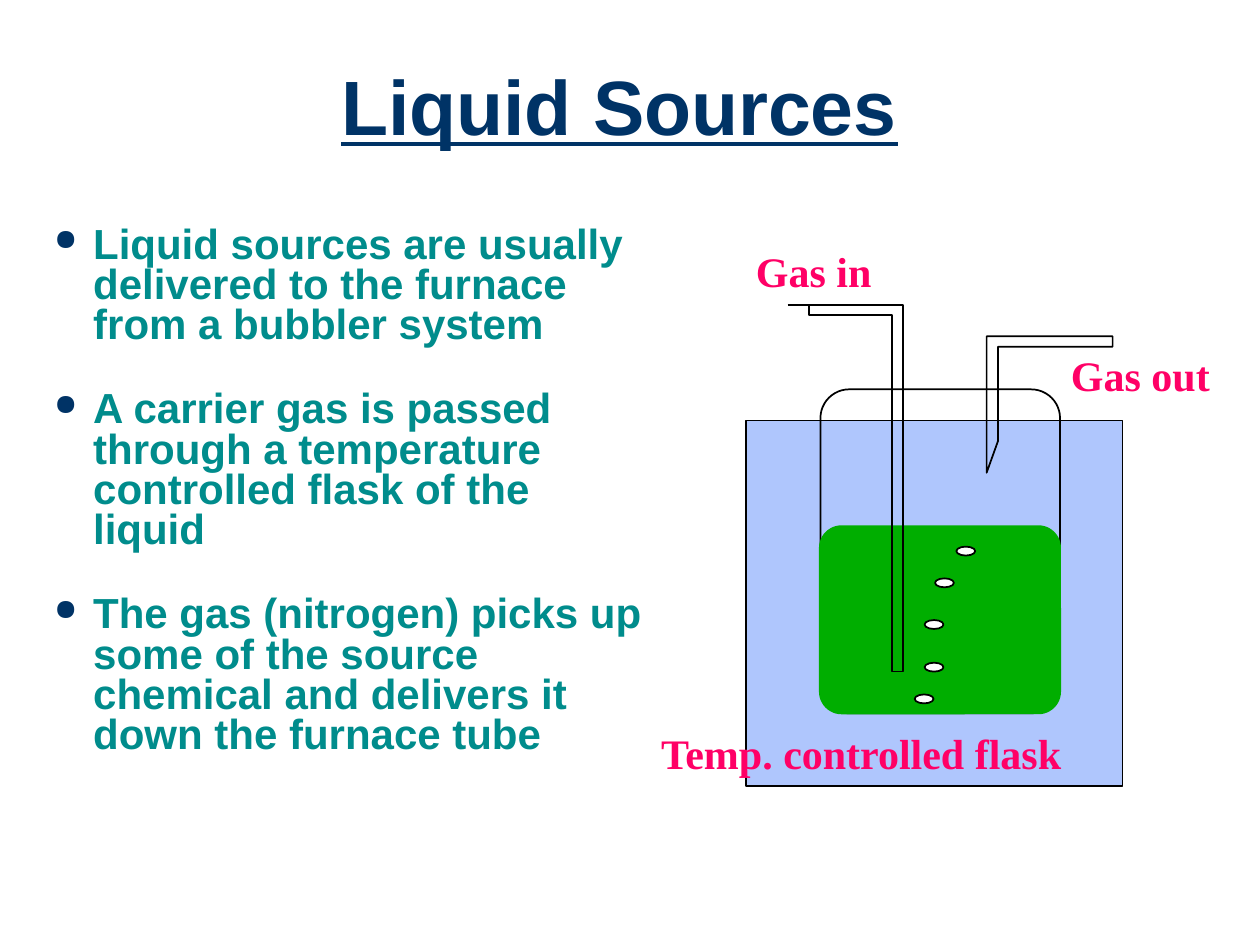
"""Build the Liquid Sources slide with its bubbler diagram."""

import dataclasses
import typing

import lxml.etree
import pptx
import pptx.dml.color
import pptx.enum.shapes
import pptx.enum.text
import pptx.oxml.ns
import pptx.util

Cm = pptx.util.Cm
Pt = pptx.util.Pt
Preset = pptx.enum.shapes.MSO_SHAPE
Point = tuple[float, float]


@dataclasses.dataclass(frozen=True)
class Theme:
    navy: str = "003366"
    teal: str = "008C8C"
    pink: str = "FF0066"
    bath: str = "618FFD"
    liquid: str = "00AE00"
    white: str = "FFFFFF"
    black: str = "000000"
    title_size: float = 44
    text_size: float = 24
    line_width: float = 1
    heading_font: str = "Arial"
    label_font: str = "Times New Roman"


class Box(typing.NamedTuple):
    left: float
    top: float
    width: float
    height: float

    def lengths(self) -> list[int]:
        return [Cm(value) for value in self]


@dataclasses.dataclass(frozen=True)
class Part:
    box: Box
    preset: Preset
    fill: str | None = None
    line: str | None = None
    corner: float | None = None
    opacity: int = 100


class Label(typing.NamedTuple):
    text: str
    box: Box


THEME = Theme()

TITLE_BOX = Box(0.64, 0.64, 23.7, 3.18)
BODY_BOX = Box(0.84, 4.45, 12.5, 11.43)
POINTS = [
    "Liquid sources are usually delivered to the furnace from a bubbler system",
    "A carrier gas is passed through a temperature controlled flask of the liquid",
    "The gas (nitrogen) picks up some of the source chemical and delivers it down the furnace tube",
]

VESSELS = [
    Part(Box(15.04, 8.48, 7.59, 7.37), Preset.RECTANGLE, THEME.bath, THEME.black, opacity=50),
    Part(Box(16.54, 7.85, 4.83, 6.53), Preset.ROUNDED_RECTANGLE, line=THEME.black, corner=0.12),
    Part(Box(16.51, 10.59, 4.88, 3.81), Preset.ROUNDED_RECTANGLE, THEME.liquid, corner=0.12),
]
INLET = [(15.88, 6.15), (18.21, 6.15), (18.21, 13.54), (17.98, 13.54),
         (17.98, 6.35), (16.31, 6.35), (16.31, 6.15)]
OUTLET = [(19.89, 9.53), (19.89, 6.78), (22.43, 6.78), (22.43, 6.99),
          (20.12, 6.99), (20.12, 8.89), (19.89, 9.53)]
BUBBLES = [(18.44, 14.0), (18.64, 13.36), (18.64, 12.5), (18.85, 11.66), (19.28, 11.02)]
LABELS = [
    Label("Gas in", Box(14.99, 4.83, 2.84, 1.27)),
    Label("Gas out", Box(21.34, 6.93, 3.3, 1.27)),
    Label("Temp. controlled flask", Box(13.08, 14.55, 8.69, 1.27)),
]


def rgb(color: str) -> pptx.dml.color.RGBColor:
    """Turn a hexadecimal string into a colour."""
    return pptx.dml.color.RGBColor.from_string(color)


def style_shape(shape, fill: str | None, line: str | None) -> None:
    """Set the fill and outline and remove the shadow."""
    shape.shadow.inherit = False
    if fill:
        shape.fill.solid()
        shape.fill.fore_color.rgb = rgb(fill)
    else:
        shape.fill.background()
    if line:
        shape.line.color.rgb = rgb(line)
        shape.line.width = Pt(THEME.line_width)
    else:
        shape.line.fill.background()


def draw_part(slide, part: Part) -> None:
    """Draw one preset shape."""
    shape = slide.shapes.add_shape(part.preset, *part.box.lengths())
    style_shape(shape, part.fill, part.line)
    if part.corner is not None:
        shape.adjustments[0] = part.corner
    if part.opacity < 100:
        color = shape.fill._xPr.find(".//" + pptx.oxml.ns.qn("a:srgbClr"))
        alpha = lxml.etree.SubElement(color, pptx.oxml.ns.qn("a:alpha"))
        alpha.set("val", str(part.opacity * 1000))


def draw_tube(slide, points: list[Point]) -> None:
    """Draw an unfilled outline through the points."""
    corners = [(Cm(x), Cm(y)) for x, y in points]
    builder = slide.shapes.build_freeform(*corners[0])
    builder.add_line_segments(corners[1:], close=False)
    style_shape(builder.convert_to_shape(), None, THEME.black)


def add_text_frame(slide, box: Box, wrap: bool = True):
    """Add a text box and return its frame."""
    frame = slide.shapes.add_textbox(*box.lengths()).text_frame
    frame.word_wrap = wrap
    return frame


def add_run(paragraph, text: str, font: str, size: float, color: str):
    """Add one bold run."""
    run = paragraph.add_run()
    run.text = text
    run.font.name = font
    run.font.size = Pt(size)
    run.font.bold = True
    run.font.color.rgb = rgb(color)
    return run


def set_bullet(paragraph) -> None:
    """Give the paragraph a small round bullet and a hanging indent."""
    qn = pptx.oxml.ns.qn
    properties = paragraph._p.get_or_add_pPr()
    properties.set("marL", str(Cm(0.79)))
    properties.set("indent", str(-Cm(0.79)))
    color = lxml.etree.SubElement(properties, qn("a:buClr"))
    lxml.etree.SubElement(color, qn("a:srgbClr")).set("val", THEME.navy)
    lxml.etree.SubElement(properties, qn("a:buSzPct")).set("val", "70000")
    lxml.etree.SubElement(properties, qn("a:buChar")).set("char", "●")


def draw_title(slide) -> None:
    """Write the underlined heading."""
    frame = add_text_frame(slide, TITLE_BOX)
    frame.vertical_anchor = pptx.enum.text.MSO_ANCHOR.MIDDLE
    paragraph = frame.paragraphs[0]
    paragraph.alignment = pptx.enum.text.PP_ALIGN.CENTER
    paragraph.line_spacing = 0.9
    run = add_run(paragraph, "Liquid Sources", THEME.heading_font, THEME.title_size, THEME.navy)
    run.font.underline = True


def draw_body(slide) -> None:
    """Write the bulleted points."""
    frame = add_text_frame(slide, BODY_BOX)
    for index, text in enumerate(POINTS):
        paragraph = frame.add_paragraph() if index else frame.paragraphs[0]
        paragraph.line_spacing = 0.8
        paragraph.space_before = Pt(25 if index else 0)
        set_bullet(paragraph)
        add_run(paragraph, text, THEME.heading_font, THEME.text_size, THEME.teal)


def draw_label(slide, label: Label) -> None:
    """Write one diagram label."""
    frame = add_text_frame(slide, label.box, wrap=False)
    add_run(frame.paragraphs[0], label.text, THEME.label_font, THEME.text_size, THEME.pink)


def main() -> None:
    """Build and save the presentation."""
    presentation = pptx.Presentation()
    presentation.slide_width = Cm(25.4)
    presentation.slide_height = Cm(19.05)
    slide = presentation.slides.add_slide(presentation.slide_layouts[6])
    draw_title(slide)
    draw_body(slide)
    for vessel in VESSELS:
        draw_part(slide, vessel)
    draw_tube(slide, INLET)
    for left, top in BUBBLES:
        draw_part(slide, Part(Box(left, top, 0.38, 0.18), Preset.OVAL, THEME.white, THEME.black))
    draw_tube(slide, OUTLET)
    for label in LABELS:
        draw_label(slide, label)
    presentation.save("out.pptx")


if __name__ == "__main__":
    main()
